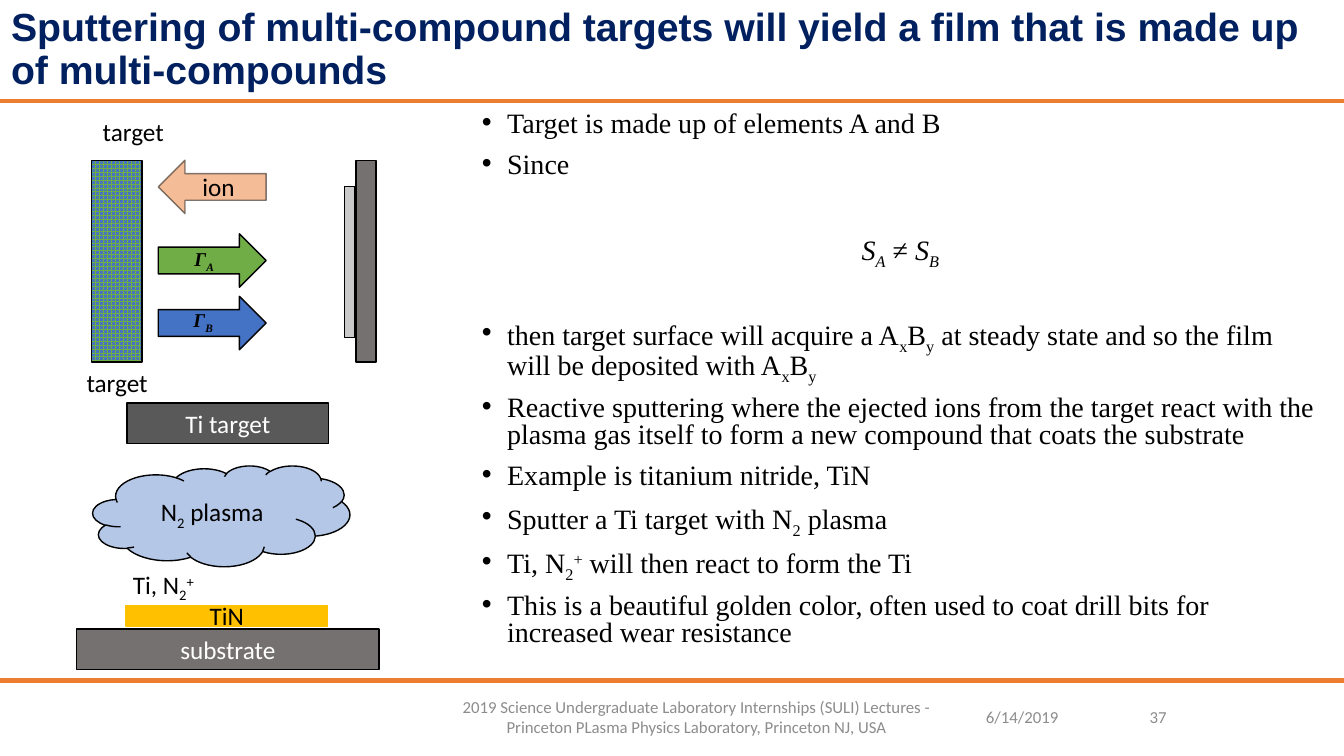
from lxml.etree import SubElement
from pptx import Presentation
from pptx.dml.color import RGBColor
from pptx.enum.dml import MSO_PATTERN
from pptx.enum.shapes import MSO_CONNECTOR, MSO_SHAPE as SHAPE
from pptx.enum.text import MSO_ANCHOR as ANCHOR, MSO_AUTO_SIZE as FIT, PP_ALIGN as ALIGN
from pptx.oxml.ns import qn
from pptx.util import Pt

PX = 9144  # 100 px to the inch
WIDTH, HEIGHT = 1333, 750
COLORS = {
    "orange": "ED7D31", "navy": "002060", "gray": "8C8C8C", "black": "000000",
    "white": "FFFFFF", "green": "70AD47", "blue": "4472C4", "silver": "C9C9C9",
    "stone": "767171", "dark": "595959", "gold": "FFC000", "sky": "B4C7E7",
}
SERIF, SANS = "Times New Roman", "Calibri"
BASELINES = {"_": "-25000", "^": "30000"}

# Content: "|" parts the runs, "_" lowers a run and "^" raises it
TITLE = ("Sputtering of multi-compound targets will yield a film that is "
         "made up of multi-compounds")
EQUATION = "S|_A| ≠ |S|_B"
BODY = [  # text, space before
    ("Target is made up of elements A and B", 0),
    ("Since", 10),
    (EQUATION, 40),
    ("then target surface will acquire a A|_x|B|_y| at steady state and so the film "
     "will be deposited with A|_x|B|_y", 39),
    ("Reactive sputtering where the ejected ions from the target react with the "
     "plasma gas itself to form a new compound that coats the substrate", 10),
    ("Example is titanium nitride, TiN", 10),
    ("Sputter a Ti target with N|_2| plasma", 10),
    ("Ti, N|_2|^+| will then react to form the Ti", 10),
    ("This is a beautiful golden color, often used to coat drill bits for "
     "increased wear resistance", 10),
]
FOOTER = [  # left, width, alignment, text
    (968, 100, ALIGN.LEFT, "6/14/2019"),
    (416, 550, ALIGN.CENTER, "2019 Science Undergraduate Laboratory Internships (SULI) "
     "Lectures - Princeton PLasma Physics Laboratory, Princeton NJ, USA"),
    (1067, 100, ALIGN.RIGHT, "37"),
]
# Shapes: kind, box, fill, line, text, text color
SPUTTER_SHAPES = [
    (SHAPE.RECTANGLE, (91, 159, 50, 200), ("green", "blue"), "black", "", "black"),
    (SHAPE.RECTANGLE, (342, 185, 10, 150), "silver", "black", "", "black"),
    (SHAPE.RECTANGLE, (353, 159, 20, 200), "stone", "black", "", "black"),
    (SHAPE.RIGHT_ARROW, (157, 232, 107, 53), "green", "black", "", "black"),
    (SHAPE.RIGHT_ARROW, (157, 294, 107, 53), "blue", "black", "", "black"),
    (SHAPE.LEFT_ARROW, (157, 159, 107, 53), "orange", "black", "", "black"),
]
REACTIVE_SHAPES = [
    (SHAPE.RECTANGLE, (126, 400, 200, 40), "dark", "black", "Ti target", "white"),
    (SHAPE.RECTANGLE, (76, 624, 300, 40), "stone", "black", "substrate", "white"),
    (SHAPE.RECTANGLE, (125, 601, 200, 20), "gold", "gold", "TiN", "black"),
    (SHAPE.CLOUD, (92, 462, 255, 100), "sky", "black", "N|_2| plasma", "black"),
]
# Labels: box, text, is a flux symbol
SPUTTER_LABELS = [
    ((76, 359, 81, 40), "target", False),
    ((92, 111, 81, 40), "target", False),
    ((191, 165, 53, 40), "ion", False),
    ((183, 240, 41, 34), "Γ|_A", True),
    ((182, 301, 41, 34), "Γ|_B", True),
]
REACTIVE_LABELS = [((122, 560, 84, 40), "Ti, N|_2|^+", False)]


def rgb(name):
    return RGBColor.from_string(COLORS[name])


def scaled(box):
    return [length * PX for length in box]


def write(para, text, font, size, color, bold=False, italic=False):
    for part in text.split("|"):
        span = para.add_run()
        span.text = part.lstrip("_^")
        span.font.name, span.font.size = font, Pt(size)
        span.font.bold, span.font.italic = bold, italic
        span.font.color.rgb = rgb(color)
        if part[:1] in BASELINES:
            span._r.get_or_add_rPr().set("baseline", BASELINES[part[0]])


def add_rule(page, y):
    rule = page.shapes.add_connector(MSO_CONNECTOR.STRAIGHT, *scaled((0, y, WIDTH, y)))
    rule.line.color.rgb = rgb("orange")
    rule.line.width = Pt(3)
    SubElement(rule._element.spPr, qn("a:effectLst"))


def add_shape(group, kind, box, fill, line, text, color):
    shape = group.shapes.add_shape(kind, *scaled(box))
    shape.shadow.inherit = False
    if isinstance(fill, tuple):
        shape.fill.patterned()
        shape.fill.pattern = MSO_PATTERN.SPHERE
        shape.fill.fore_color.rgb, shape.fill.back_color.rgb = map(rgb, fill)
    else:
        shape.fill.solid()
        shape.fill.fore_color.rgb = rgb(fill)
    shape.line.color.rgb = rgb(line)
    shape.line.width = Pt(1)
    if kind == SHAPE.LEFT_ARROW:  # the ion arrow is half transparent
        for tint in shape._element.spPr.iter(qn("a:srgbClr")):
            SubElement(tint, qn("a:alpha")).set("val", "50000")
    if text:
        shape.text_frame.vertical_anchor = ANCHOR.MIDDLE
        para = shape.text_frame.paragraphs[0]
        para.alignment = ALIGN.CENTER
        write(para, text, SANS, 18, color)


def add_label(group, box, text, flux):
    frame = group.shapes.add_textbox(*scaled(box)).text_frame
    frame.word_wrap = False
    frame.auto_size = FIT.SHAPE_TO_FIT_TEXT
    font, size = (SERIF, 14) if flux else (SANS, 18)
    write(frame.paragraphs[0], text, font, size, "black", flux, flux)


def place(holder, box, anchor):
    holder.left, holder.top, holder.width, holder.height = scaled(box)
    frame = holder.text_frame
    frame.word_wrap = True
    frame.auto_size = FIT.NONE
    frame.vertical_anchor = anchor
    return frame


def fill_body(frame):
    for index, (text, before) in enumerate(BODY):
        para = frame.add_paragraph() if index else frame.paragraphs[0]
        para.line_spacing = 0.8
        para.space_before = Pt(before)
        props = para._p.get_or_add_pPr()
        bulleted = text != EQUATION
        props.set("marL", str(25 * PX if bulleted else 0))
        props.set("indent", str(-25 * PX if bulleted else 0))
        if bulleted:
            SubElement(props, qn("a:buFont")).set("typeface", "Arial")
            SubElement(props, qn("a:buChar")).set("char", "•")
        else:
            SubElement(props, qn("a:buNone"))
            para.alignment = ALIGN.CENTER
        write(para, text, SERIF, 20, "black")
        if not bulleted:
            for span in para.runs:
                span.font.italic = span.text.isalpha()


def main():
    deck = Presentation()
    deck.slide_width, deck.slide_height = WIDTH * PX, HEIGHT * PX
    page = deck.slides.add_slide(deck.slide_layouts[1])

    # Rules above and below the content
    for y in (100, 675):
        add_rule(page, y)

    # Title and list
    heading = place(page.shapes.title, (1, 0, WIDTH, 100), ANCHOR.MIDDLE).paragraphs[0]
    heading.alignment = ALIGN.LEFT
    heading.line_spacing = 0.9
    write(heading, TITLE, "Arial", 28, "navy", bold=True)
    fill_body(place(page.placeholders[1], (468, 106, 850, 560), ANCHOR.TOP))

    # Footer
    for left, width, alignment, text in FOOTER:
        box = page.shapes.add_textbox(0, 0, 0, 0)
        para = place(box, (left, 676, width, 70), ANCHOR.MIDDLE).paragraphs[0]
        para.alignment = alignment
        write(para, text, SANS, 12, "gray")

    # The two diagrams
    for shapes, labels in ((SPUTTER_SHAPES, SPUTTER_LABELS),
                           (REACTIVE_SHAPES, REACTIVE_LABELS)):
        group = page.shapes.add_group_shape()
        for item in shapes:
            add_shape(group, *item)
        for item in labels:
            add_label(group, *item)

    deck.save("out.pptx")


if __name__ == "__main__":
    main()
